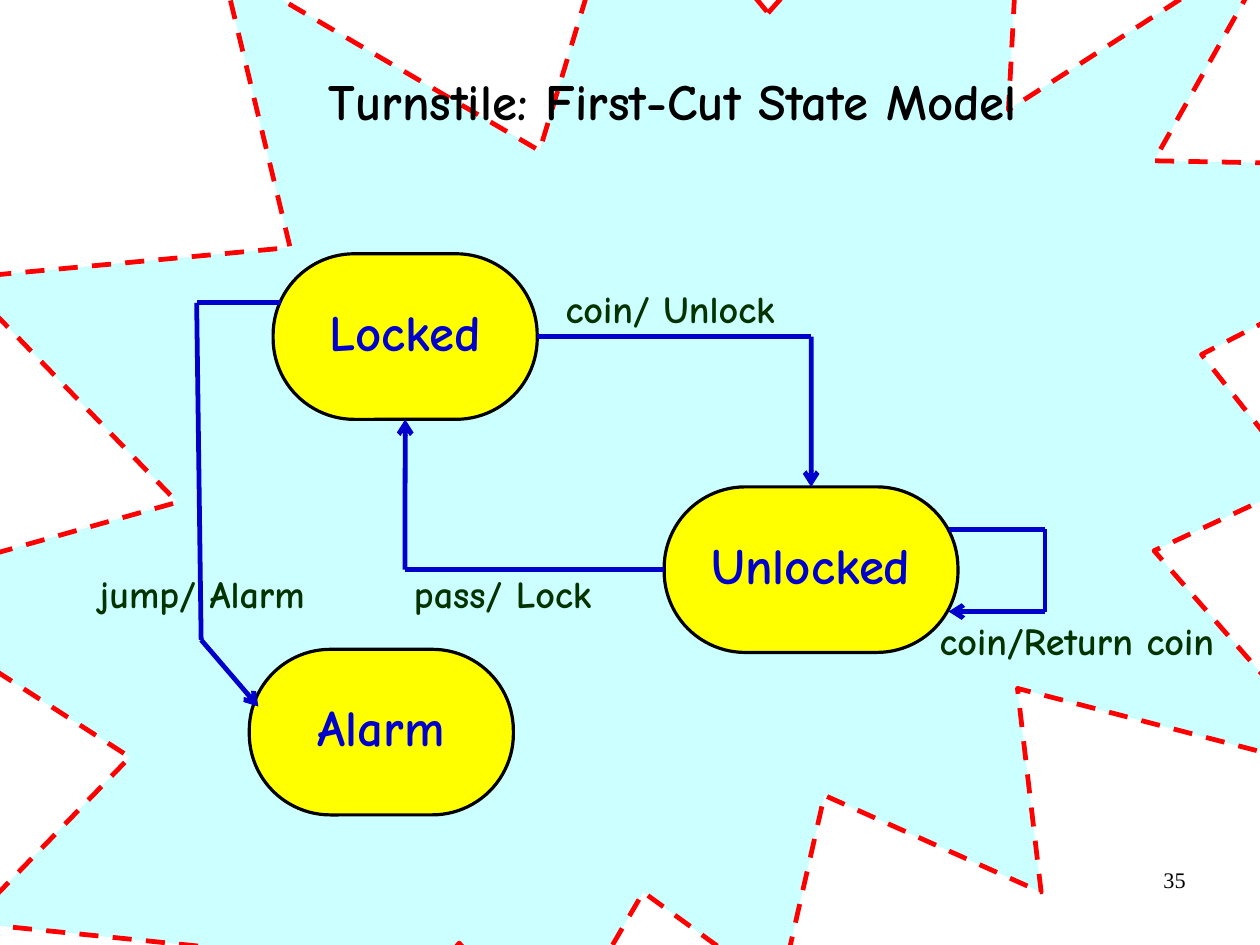
"""Builds the slide with the first-cut state model of a turnstile."""
from dataclasses import dataclass
from itertools import pairwise

from lxml import etree
from pptx import Presentation
from pptx.dml.color import RGBColor
from pptx.enum.dml import MSO_LINE
from pptx.enum.shapes import MSO_CONNECTOR, MSO_SHAPE
from pptx.enum.text import MSO_ANCHOR, MSO_AUTO_SIZE, PP_ALIGN
from pptx.oxml.ns import qn
from pptx.util import Cm, Pt

STRAIGHT = MSO_CONNECTOR.STRAIGHT
BURST, ROUNDED = MSO_SHAPE.EXPLOSION2, MSO_SHAPE.ROUNDED_RECTANGLE
DASH = MSO_LINE.DASH
TOP, MIDDLE = MSO_ANCHOR.TOP, MSO_ANCHOR.MIDDLE
LEFT, CENTER, RIGHT = PP_ALIGN.LEFT, PP_ALIGN.CENTER, PP_ALIGN.RIGHT
NO_FIT = MSO_AUTO_SIZE.NONE
TOP_SIDE, LEFT_SIDE, BOTTOM_SIDE, RIGHT_SIDE = range(4)

TITLE_ONLY = 5
COMIC, SERIF = "Comic Neue", "Times New Roman"
BLACK, BLUE, GREEN = "000000", "0000CC", "003300"
YELLOW, PALE_CYAN, RED = "FFFF00", "CCFFFF", "FF0000"


@dataclass(frozen=True)
class State:
    name: str
    left: float
    top: float
    width: float = 5.87
    height: float = 3.68


@dataclass(frozen=True)
class Transition:
    label: str
    label_box: tuple[float, float, float, float]
    route: tuple[tuple[float, float], ...]
    source: tuple[str, int] | None = None
    target: tuple[str, int] | None = None


STATES = (
    State("Alarm", 5.54, 14.43),
    State("Locked", 6.07, 5.64),
    State("Unlocked", 14.76, 10.82, width=6.53),
)

TRANSITIONS = (
    Transition("coin/ Unlock", (12.29, 6.38, 5.46, 0.91),
               ((11.94, 7.48), (18.03, 7.48), (18.03, 10.82)),
               ("Locked", RIGHT_SIDE), ("Unlocked", TOP_SIDE)),
    Transition("pass/ Lock", (8.92, 12.73, 4.83, 0.91),
               ((14.76, 12.66), (9, 12.66), (9, 9.32)),
               ("Unlocked", LEFT_SIDE), ("Locked", BOTTOM_SIDE)),
    Transition("jump/ Alarm", (1.93, 12.73, 5.69, 1.09),
               ((6.25, 6.73), (4.37, 6.73), (4.47, 14.22), (5.74, 15.7))),
    Transition("coin/Return coin", (20.6, 13.77, 7.26, 1.12),
               ((21.08, 11.76), (23.22, 11.76), (23.22, 13.59), (21.08, 13.59))),
)


def color(hex_code: str) -> RGBColor:
    return RGBColor.from_string(hex_code)


def write(shape, text: str, size: float, hex_code: str, align, anchor=TOP,
          spacing: float = 0.8, font: str = COMIC, bold: bool = True,
          insets: tuple[float, float] = (0.28, 0.15)) -> None:
    frame = shape.text_frame
    frame.text = text
    frame.word_wrap = True
    frame.auto_size = NO_FIT
    frame.vertical_anchor = anchor
    frame.margin_left = frame.margin_right = Cm(insets[0])
    frame.margin_top = frame.margin_bottom = Cm(insets[1])
    paragraph = frame.paragraphs[0]
    paragraph.alignment = align
    paragraph.line_spacing = spacing
    run_font = paragraph.runs[0].font
    run_font.name, run_font.size, run_font.bold = font, Pt(size), bold
    run_font.color.rgb = color(hex_code)


def add_filled(slide, preset, box: tuple[float, ...], fill: str, line: str, weight: float):
    shape = slide.shapes.add_shape(preset, *map(Cm, box))
    shape.shadow.inherit = False
    shape.fill.solid()
    shape.fill.fore_color.rgb = color(fill)
    shape.line.color.rgb = color(line)
    shape.line.width = Pt(weight)
    return shape


def add_state(slide, state: State):
    box = (state.left, state.top, state.width, state.height)
    shape = add_filled(slide, ROUNDED, box, YELLOW, BLACK, 2)
    shape.adjustments[0] = 0.49
    write(shape, state.name, 32, BLUE, CENTER, MIDDLE)
    return shape


def add_transition(slide, transition: Transition, states: dict) -> None:
    segments = []
    for start, end in pairwise(transition.route):
        segment = slide.shapes.add_connector(STRAIGHT, *map(Cm, start + end))
        segment.line.color.rgb = color(BLUE)
        segment.line.width = Pt(3)
        etree.SubElement(segment.element.spPr, qn("a:effectLst"))
        segments.append(segment)
    etree.SubElement(segments[-1].line._get_or_add_ln(), qn("a:tailEnd"), type="arrow")
    if transition.source:
        name, side = transition.source
        segments[0].begin_connect(states[name], side)
    if transition.target:
        name, side = transition.target
        segments[-1].end_connect(states[name], side)
    label = slide.shapes.add_textbox(*map(Cm, transition.label_box))
    write(label, transition.label, 24, GREEN, LEFT)


def main() -> None:
    deck = Presentation()
    deck.slide_width, deck.slide_height = Cm(28), Cm(21)
    slide = deck.slides.add_slide(deck.slide_layouts[TITLE_ONLY])

    page_number = slide.shapes.add_textbox(Cm(20.07), Cm(19.13), Cm(6.53), Cm(1.45))
    write(page_number, "35", 14, BLACK, RIGHT, spacing=1, font=SERIF, bold=False,
          insets=(0.25, 0.13))

    burst = add_filled(slide, BURST, (-2.92, -6.22, 37.67, 32.39), PALE_CYAN, RED, 3)
    burst.line.dash_style = DASH

    states = {state.name: add_state(slide, state) for state in STATES}
    for transition in TRANSITIONS:
        add_transition(slide, transition, states)

    title = slide.shapes.title
    title.left, title.top, title.width, title.height = map(Cm, (1.93, 1.6, 26.06, 3.1))
    write(title, "Turnstile: First-Cut State Model", 32, BLACK, CENTER, spacing=0.88,
          insets=(0.25, 0.13))
    title.element.getparent().append(title.element)

    deck.save("out.pptx")


if __name__ == "__main__":
    main()
